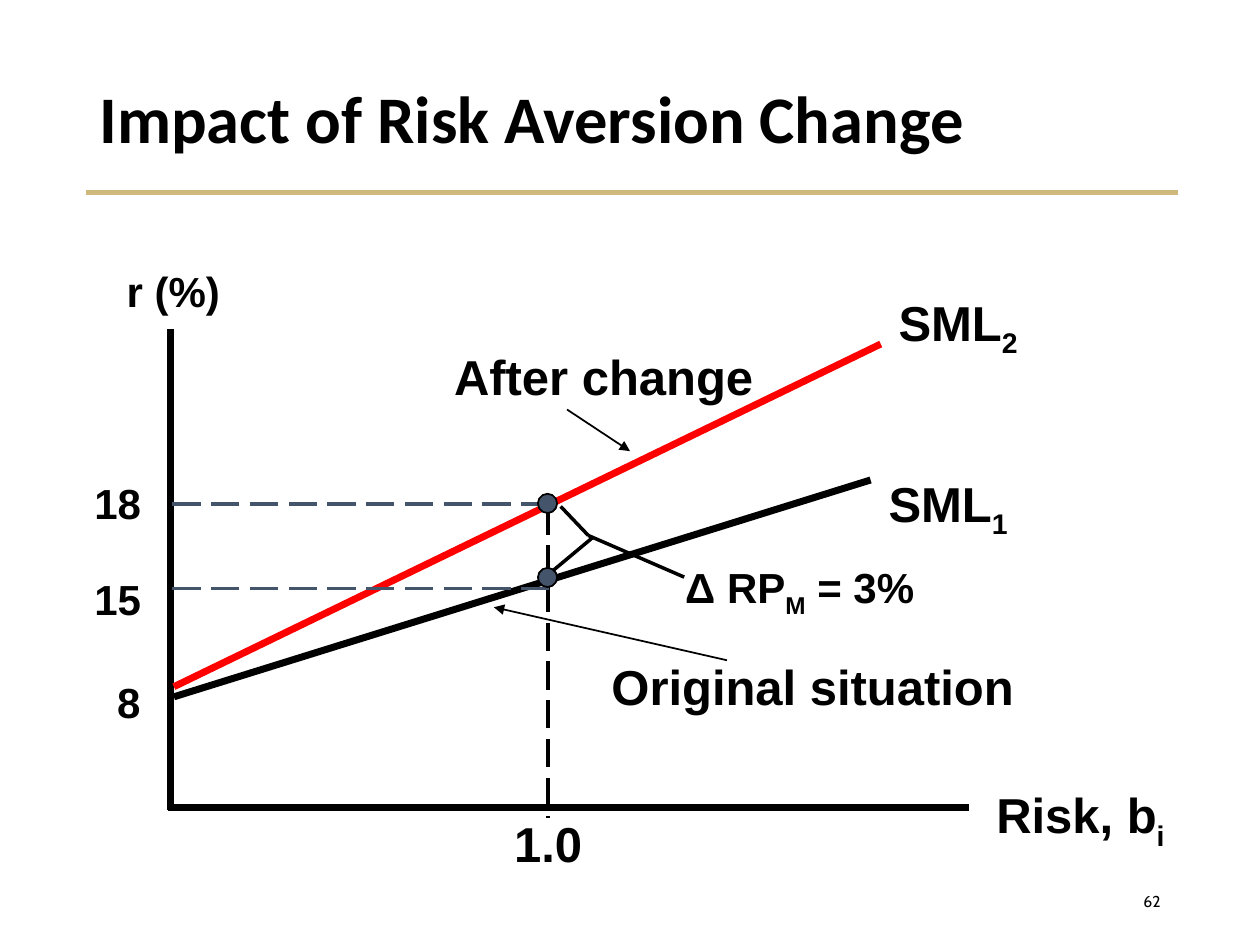
from lxml.etree import SubElement
from pptx import Presentation
from pptx.dml.color import RGBColor
from pptx.enum.dml import MSO_LINE as Dash
from pptx.enum.shapes import MSO_CONNECTOR as Conn, MSO_SHAPE as Shape
from pptx.enum.text import MSO_ANCHOR as Anchor, PP_ALIGN as Align
from pptx.oxml.ns import qn
from pptx.util import Pt

BLACK = RGBColor(0x00, 0x00, 0x00)
RED = RGBColor(0xFF, 0x00, 0x00)
SLATE = RGBColor(0x44, 0x54, 0x6A)
GOLD = RGBColor(0xCF, 0xB8, 0x7C)


class Board:
    face = "Arial"
    ink = BLACK

    def __init__(self, slide):
        self.slide = slide

    def line(self, start, end, width=4, color=None, dash=None, arrow=False):
        link = self.slide.shapes.add_connector(
            Conn.STRAIGHT, *(Pt(v) for v in start + end))
        link.line.width = Pt(width)
        link.line.color.rgb = color or self.ink
        if dash:
            link.line.dash_style = dash
        if arrow:
            SubElement(link.line._get_or_add_ln(), qn("a:tailEnd"), type="triangle")
        SubElement(link._element.spPr, qn("a:effectLst"))

    def text(self, box, rows, size=28, align=Align.CENTER, face=None, bold=True,
             anchor=Anchor.TOP, wrap=False, pitch=None, gap=0):
        frame = self.slide.shapes.add_textbox(*(Pt(v) for v in box)).text_frame
        frame.word_wrap = wrap
        frame.vertical_anchor = anchor
        for i, row in enumerate(rows):
            para = frame.add_paragraph() if i else frame.paragraphs[0]
            para.alignment = align
            if pitch:
                para.line_spacing = pitch
            if i:
                para.space_before = Pt(gap)
            font = para.font
            font.name, font.size, font.bold = face or self.face, Pt(size), bold
            font.color.rgb = self.ink
            for j, part in enumerate(row.split("_")):
                run = para.add_run()
                run.text = part
                if j % 2:
                    run._r.get_or_add_rPr().set("baseline", "-25000")

    def dot(self, x, y, size=11):
        dot = self.slide.shapes.add_shape(
            Shape.OVAL, Pt(x - size / 2), Pt(y - size / 2), Pt(size), Pt(size))
        dot.shadow.inherit = False
        dot.fill.solid()
        dot.fill.fore_color.rgb = SLATE
        dot.line.color.rgb = self.ink
        dot.line.width = Pt(1)


def main():
    deck = Presentation()
    deck.slide_width, deck.slide_height = Pt(720), Pt(540)
    board = Board(deck.slides.add_slide(deck.slide_layouts[6]))

    board.line((49, 110), (673, 110), 3, GOLD)
    board.text((49.7, 28.8, 620.6, 81.4), ["Impact of Risk Aversion Change"], 38,
               Align.LEFT, "Calibri", anchor=Anchor.MIDDLE, wrap=True, pitch=0.9)
    board.text((508.3, 500.4, 162, 28.8), ["62"], 9, Align.RIGHT, "Cabin",
               bold=False, anchor=Anchor.MIDDLE, wrap=True)

    board.line((97.2, 188), (97.2, 463))
    board.line((95.8, 461.5), (553.7, 461.5))
    board.line((99.4, 398.2), (497.5, 274.3))
    board.line((313.2, 289.4), (313.2, 467.3), 2, dash=Dash.LONG_DASH)
    board.line((99.4, 392.4), (503.3, 196.6), color=RED)
    for y in (288, 336.2):
        board.line((313.9, y), (96.5, y), 2, SLATE, Dash.LONG_DASH)

    for box, label in (
        ((499.7, 267.1, 84.2, 40.3), "SML_1"),
        ((505.4, 163.4, 84.2, 40.3), "SML_2"),
        ((342, 371.5, 244.8, 40.3), "Original situation"),
        ((561.6, 445, 111.6, 40.3), "Risk, b_i"),
        ((286.6, 461.5, 53.3, 40.3), "1.0"),
    ):
        board.text(box, [label])
    board.text((252, 198, 185.8, 37.4), ["After change"], pitch=0.9)
    board.text((54, 151.2, 90, 33.1), ["r (%)"], 24, wrap=True, pitch=0.9)
    board.text((46.8, 269.3, 41, 112.3), ["18", "15"], 24, Align.LEFT, gap=26)
    board.text((59.8, 383, 27.4, 36), ["8"], 24)
    board.text((384.5, 317.5, 180, 36), ["Δ RP_M_ = 3%"], 24, Align.LEFT, wrap=True)

    board.line((320.4, 289.4), (336.2, 306), 2)
    board.line((338.4, 307.4), (312.5, 329), 2)
    board.line((336.2, 306), (391, 329.8), 2)
    for y in (330, 287.7):
        board.dot(312.9, y)
    board.line((415.4, 377.3), (282.2, 347), 1, arrow=True)
    board.line((324, 234), (360, 257.8), 1, arrow=True)

    deck.save("out.pptx")


if __name__ == "__main__":
    main()
